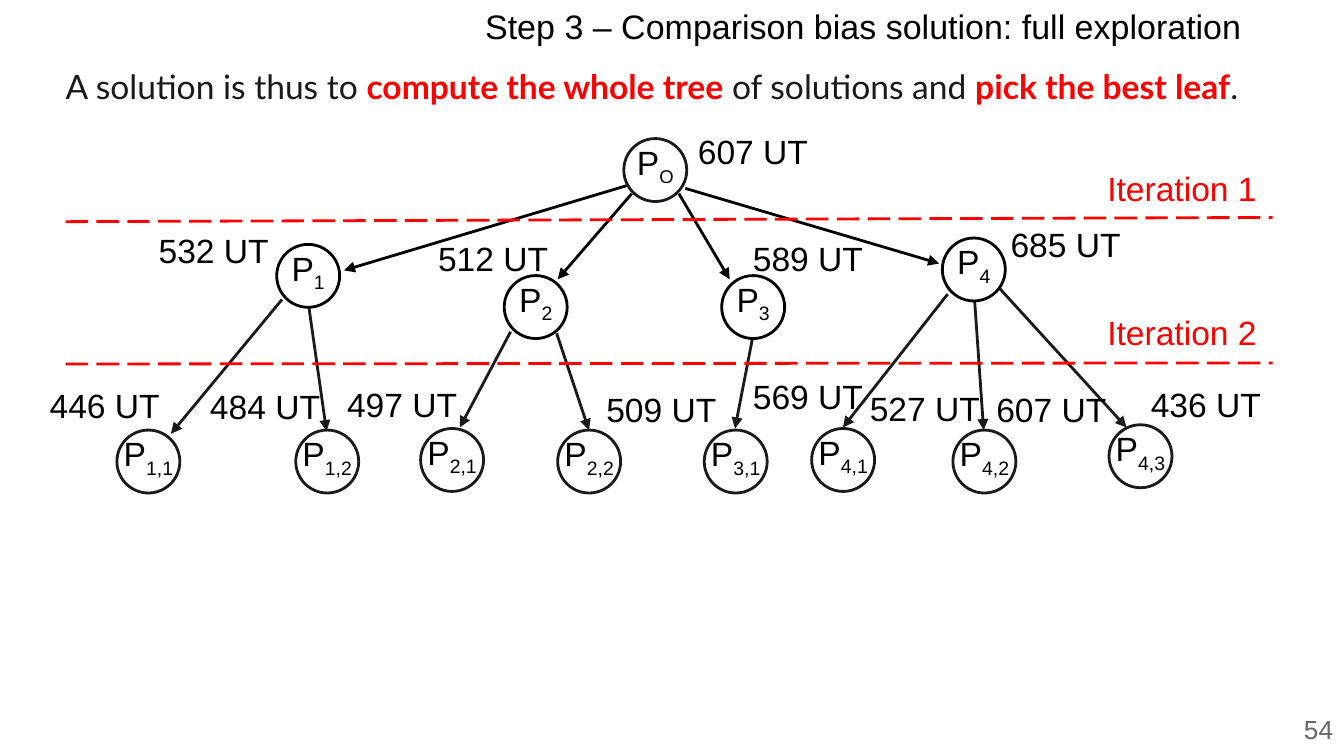
"""Build a slide with a tree of solutions explored over two iterations."""
from lxml.etree import SubElement
from pptx import Presentation
from pptx.dml.color import RGBColor
from pptx.enum.dml import MSO_LINE_DASH_STYLE as Dash
from pptx.enum.shapes import MSO_CONNECTOR_TYPE as Wire, MSO_SHAPE as Shape
from pptx.enum.text import MSO_ANCHOR as Anchor, PP_ALIGN as Align
from pptx.oxml.ns import qn
from pptx.util import Cm, Pt

BLACK = RGBColor(0, 0, 0)
DARK = RGBColor(0x1A, 0x1A, 0x1A)
GREY = RGBColor(0x66, 0x66, 0x66)
RED = RGBColor(0xFF, 0, 0)

TITLE = "Step 3 – Comparison bias solution: full exploration"
CLAIM = [
    ("A solution is thus to ", {}),
    ("compute the whole tree", {"bold": True, "color": RED}),
    (" of solutions and ", {}),
    ("pick the best leaf", {"bold": True, "color": RED}),
    (".", {}),
]
PAGE = "54"
NODES = [
    ("O", (11.79, 2.62), 607, (12.78, 2.37)),
    ("1", (5.23, 4.62), 532, (2.59, 4.24)),
    ("2", (9.53, 5.21), 512, (7.87, 4.39)),
    ("3", (13.64, 5.21), 589, (13.82, 4.39)),
    ("4", (17.81, 4.5), 685, (18.69, 4.11)),
    ("1,1", (2.21, 8.13), 446, (0.53, 7.16)),
    ("1,2", (5.59, 8.13), 484, (3.56, 7.19)),
    ("2,1", (7.95, 8.1), 497, (6.15, 7.14)),
    ("2,2", (10.54, 8.13), 509, (11.05, 7.24)),
    ("3,1", (13.31, 8.13), 569, (13.82, 6.99)),
    ("4,1", (15.34, 8.1), 527, (16.03, 7.21)),
    ("4,2", (18.01, 8.13), 607, (18.42, 7.24)),
    ("4,3", (20.96, 8.03), 436, (21.34, 7.14)),
]
ROOT_EDGES = [
    ((11.84, 3.51), (6.5, 5.11)),
    ((11.94, 3.66), (10.54, 5.28)),
    ((12.83, 3.66), (13.79, 5.28)),
    ((12.95, 3.56), (17.75, 4.98)),
]
LEAF_EDGES = [
    ((5.33, 5.66), (3.23, 8.2)),
    ((5.84, 5.82), (6.17, 8.15)),
    ((9.65, 6.27), (8.69, 8.08)),
    ((10.52, 6.3), (11.13, 8.13)),
    ((14.22, 6.4), (13.89, 8.1)),
    ((17.91, 5.56), (15.93, 8.08)),
    ((18.42, 5.69), (18.59, 8.13)),
    ((18.9, 5.46), (21.29, 8.08)),
]
STEPS = [
    ("Iteration 1", 3.07, 4.19, 4.11),
    ("Iteration 2", 5.79, 6.88, 6.86),
]

SIZE, ROW, INSET = 1.19, 0.99, 0.25
BASE = {"name": "Arial", "size": Pt(18), "bold": False, "color": BLACK}
FRAME = {
    "word_wrap": True, "vertical_anchor": Anchor.MIDDLE,
    "margin_left": Cm(INSET), "margin_right": Cm(INSET),
    "margin_top": Cm(INSET), "margin_bottom": Cm(INSET),
}


def apply(item, values):
    for key, value in values.items():
        setattr(item, key, value)


def write(slide, box, runs, look={}, para={}, frame={}):
    area = slide.shapes.add_textbox(*map(Cm, box)).text_frame
    apply(area, FRAME | frame)
    line = area.paragraphs[0]
    apply(line, {"alignment": Align.CENTER} | para)
    for text, extra in runs:
        style = BASE | look | extra
        run = line.add_run()
        run.text = text
        shift = style.pop("shift", None)
        run.font.color.rgb = style.pop("color")
        apply(run.font, style)
        if shift:
            run._r.get_or_add_rPr().set("baseline", str(shift))


def link(slide, start, end, color, dash=None):
    wire = slide.shapes.add_connector(Wire.STRAIGHT, *map(Cm, start + end))
    wire.line.color.rgb = color
    wire.line.width = Pt(1.5)
    if dash:
        wire.line.dash_style = dash
    else:
        SubElement(wire.line._get_or_add_ln(), qn("a:tailEnd"), type="triangle")
    SubElement(wire._element.spPr, qn("a:effectLst"))


def node(slide, name, spot, cost, tag):
    left, top = spot
    ring = slide.shapes.add_shape(Shape.OVAL, *map(Cm, (left, top, SIZE, SIZE)))
    ring.shadow.inherit = False
    ring.fill.background()
    ring.line.color.rgb = BLACK if name in "1234" else DARK
    ring.line.width = Pt(1.5)
    width = 1.65 if "," in name else 1.32
    sub = {"shift": -25000, "size": Pt(17 if name == "O" else 18)}
    write(slide, (left + (SIZE - width) / 2, top, width, ROW),
          [("P", {}), (name, sub)])
    write(slide, (*tag, 2.9, ROW), [(f"{cost} UT", {})])


def main():
    deck = Presentation()
    deck.slide_width, deck.slide_height = Cm(25.4), Cm(14.29)
    slide = deck.slides.add_slide(deck.slide_layouts[6])
    write(slide, (8.92, 0, 15.95, 0.97), [(TITLE, {})],
          {"size": Pt(18.2)}, {"alignment": Align.LEFT})
    write(slide, (0.99, 0.89, 23.39, 1.27), CLAIM,
          {"name": "Lato", "color": DARK},
          {"alignment": Align.JUSTIFY, "line_spacing": 1.15, "space_after": Pt(12)},
          {"vertical_anchor": Anchor.TOP})
    for edges, color in ((ROOT_EDGES, BLACK), (LEAF_EDGES, DARK)):
        for start, end in edges:
            link(slide, start, end, color)
    for text, top, left_y, right_y in STEPS:
        link(slide, (1.24, left_y), (24.05, right_y), RED, Dash.LONG_DASH)
        write(slide, (20.65, top, 3.38, ROW), [(text, {})], {"color": RED})
    for item in NODES:
        node(slide, *item)
    write(slide, (24.36, 13.28, 1.12, ROW), [(PAGE, {})],
          {"size": Pt(14), "color": GREY})
    deck.save("out.pptx")


if __name__ == "__main__":
    main()
